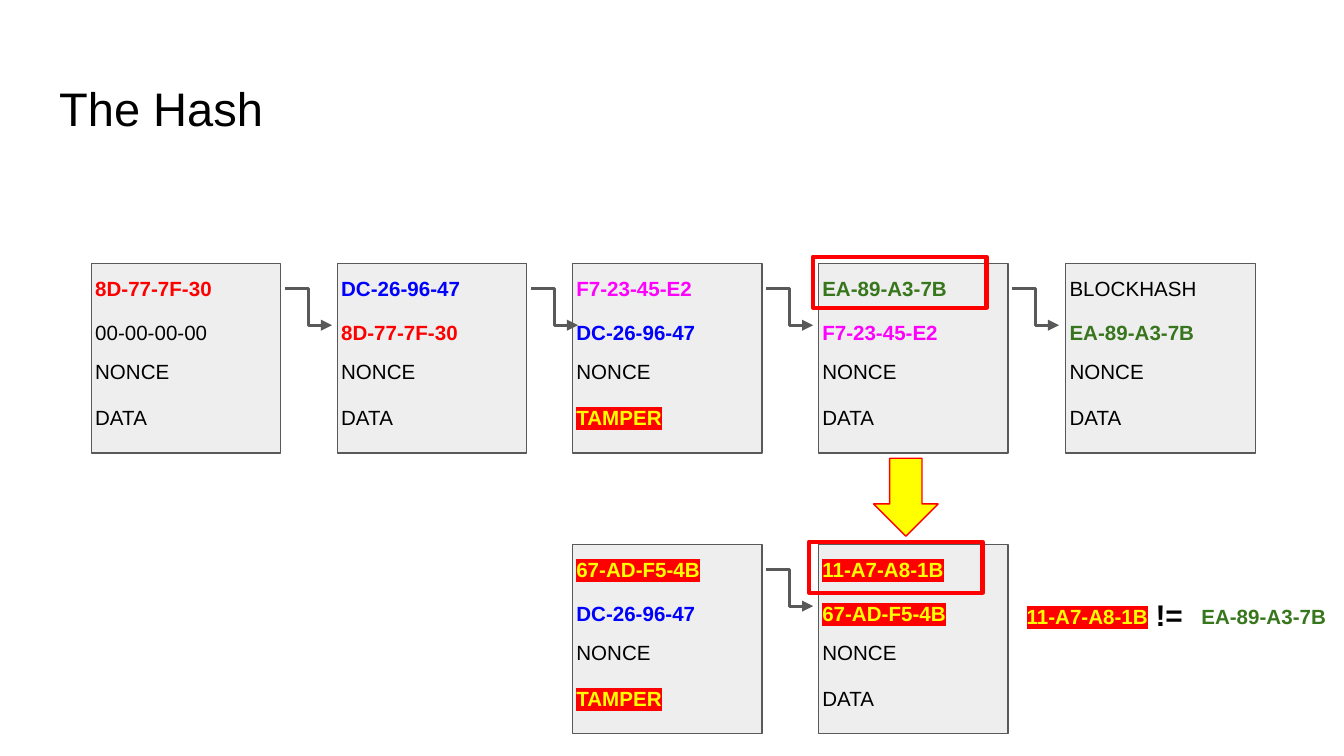
import pptx
import pptx.dml.color
import pptx.enum.shapes
import pptx.enum.text
import pptx.util
from lxml import etree

SHAPE = pptx.enum.shapes.MSO_SHAPE
INCH = pptx.util.Inches
A = "http://schemas.openxmlformats.org/drawingml/2006/main"

COLORS = {
    "black": "000000", "red": "FF0000", "blue": "0000FF", "magenta": "FF00FF",
    "green": "38761D", "yellow": "FFFF00", "block": "EEEEEE", "edge": "595959",
}

TITLE = "The Hash"
HASH_COLORS = {
    "8D-77-7F-30": "red", "DC-26-96-47": "blue",
    "F7-23-45-E2": "magenta", "EA-89-A3-7B": "green",
}
TAMPERED = {"TAMPER", "67-AD-F5-4B", "11-A7-A8-1B"}

# Each chain: top, first column, blocks of (own hash, previous hash, nonce, data)
CHAINS = [
    (1.96, 0, [
        ("8D-77-7F-30", "00-00-00-00", "NONCE", "DATA"),
        ("DC-26-96-47", "8D-77-7F-30", "NONCE", "DATA"),
        ("F7-23-45-E2", "DC-26-96-47", "NONCE", "TAMPER"),
        ("EA-89-A3-7B", "F7-23-45-E2", "NONCE", "DATA"),
        ("BLOCKHASH", "EA-89-A3-7B", "NONCE", "DATA"),
    ]),
    (4.05, 2, [
        ("67-AD-F5-4B", "DC-26-96-47", "NONCE", "TAMPER"),
        ("11-A7-A8-1B", "67-AD-F5-4B", "NONCE", "DATA"),
    ]),
]
COMPARISON = [
    ("EA-89-A3-7B", (8.84, 4.4, 1.15, 0.39)),
    ("11-A7-A8-1B", (7.54, 4.4, 1.3, 0.39)),
]
HASH_FRAMES = [(6.05, 1.91), (6.02, 4.03)]

SLIDE_WIDTH = INCH(10)
SLIDE_HEIGHT = SLIDE_WIDTH * 9 // 16
COLUMNS = [0.68, 2.51, 4.26, 6.09, 7.93]
FIELD_OFFSETS = [0, 0.33, 0.62, 0.96]
FIELD_WIDTHS = [1.53, 1.67, 1.67, 1.67]
BLOCK_SIDE = 1.41
FIELD_INDENT = 0.07
LINK_GAP, LINK_DROP = 0.03, 0.19
LINK_WIDTH, LINK_HEIGHT = 0.35, 0.27


def rgb(name):
    """Return the palette colour called name."""
    return pptx.dml.color.RGBColor.from_string(COLORS[name])


def write(frame, text, size=11, color="black", bold=False, highlight=None):
    """Put formatted text into a text frame."""
    frame.word_wrap = True
    frame.vertical_anchor = pptx.enum.text.MSO_ANCHOR.TOP
    frame.margin_left = frame.margin_right = INCH(0.1)
    frame.margin_top = frame.margin_bottom = INCH(0.1)
    paragraph = frame.paragraphs[0]
    paragraph.alignment = pptx.enum.text.PP_ALIGN.LEFT
    run = paragraph.add_run()
    run.text = text
    run.font.name = "Arial"
    run.font.size = pptx.util.Pt(size)
    run.font.bold = bold
    run.font.color.rgb = rgb(color)
    if highlight:
        mark = etree.Element(f"{{{A}}}highlight")
        etree.SubElement(mark, f"{{{A}}}srgbClr", val=COLORS[highlight])
        run.font._element.find(f"{{{A}}}solidFill").addnext(mark)


def add_label(shapes, text, box, **style):
    """Add a text box at box, given in inches."""
    label = shapes.add_textbox(*map(INCH, box))
    write(label.text_frame, text, **style)


def field_style(text):
    """Return the format that a block field takes from its value."""
    if text in TAMPERED:
        return {"color": "yellow", "bold": True, "highlight": "red"}
    if text in HASH_COLORS:
        return {"color": HASH_COLORS[text], "bold": True}
    return {}


def add_figure(shapes, preset, box, fill, line, width):
    """Add a preset shape; fill None leaves it hollow."""
    figure = shapes.add_shape(preset, *map(INCH, box))
    figure.shadow.inherit = False
    if fill:
        figure.fill.solid()
        figure.fill.fore_color.rgb = rgb(fill)
    else:
        figure.fill.background()
    figure.line.color.rgb = rgb(line)
    figure.line.width = pptx.util.Pt(width)


def add_block(slide, left, top, fields):
    """Add one block of the chain as a group."""
    block = slide.shapes.add_group_shape().shapes
    add_figure(block, SHAPE.RECTANGLE, (left, top, BLOCK_SIDE, BLOCK_SIDE),
               "block", "edge", 0.75)
    for offset, width, text in zip(FIELD_OFFSETS, FIELD_WIDTHS, fields):
        add_label(block, text, (left - FIELD_INDENT, top + offset, width, 0.39),
                  **field_style(text))


def add_link(slide, left, top):
    """Add the elbow arrow from the block at left to the next one."""
    x, y = left + BLOCK_SIDE + LINK_GAP, top + LINK_DROP
    link = slide.shapes.add_connector(
        pptx.enum.shapes.MSO_CONNECTOR.ELBOW,
        *map(INCH, (x, y, x + LINK_WIDTH, y + LINK_HEIGHT)))
    link.line.color.rgb = rgb("edge")
    link.line.width = pptx.util.Pt(1.5)
    etree.SubElement(link.line._get_or_add_ln(), f"{{{A}}}tailEnd", type="triangle")
    etree.SubElement(link._element.spPr, f"{{{A}}}effectLst")


def build():
    """Build and save the slide."""
    deck = pptx.Presentation()
    deck.slide_width, deck.slide_height = SLIDE_WIDTH, SLIDE_HEIGHT
    slide = deck.slides.add_slide(deck.slide_layouts[5])

    title = slide.shapes.title
    title.left, title.top, title.width, title.height = map(
        INCH, (0.34, 0.49, 9.32, 0.63))
    write(title.text_frame, TITLE, size=25.2)

    for top, first, blocks in CHAINS:
        lefts = COLUMNS[first:first + len(blocks)]
        for left, fields in zip(lefts, blocks):
            add_block(slide, left, top, fields)
        for left in lefts[:-1]:
            add_link(slide, left, top)

    add_figure(slide.shapes, SHAPE.DOWN_ARROW, (6.5, 3.41, 0.48, 0.58),
               "yellow", "red", 0.75)
    for text, box in COMPARISON:
        add_label(slide.shapes, text, box, **field_style(text))
    add_label(slide.shapes, "!=", (8.5, 4.34, 0.47, 0.47), size=16, bold=True)
    for left, top in HASH_FRAMES:
        add_figure(slide.shapes, SHAPE.RECTANGLE, (left, top, 1.29, 0.38),
                   None, "red", 2.25)
    deck.save("out.pptx")


build()
